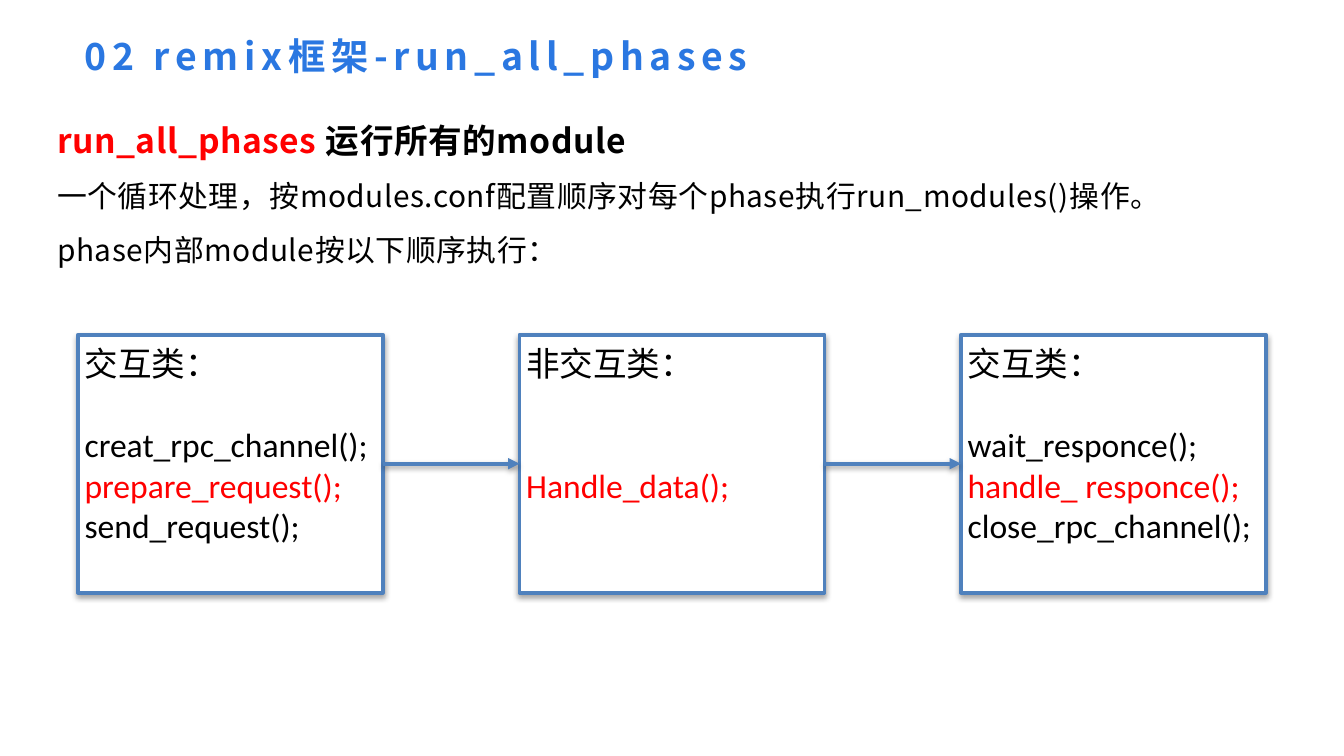
from lxml.etree import SubElement
from pptx import Presentation
from pptx.dml.color import RGBColor
from pptx.enum.shapes import MSO_CONNECTOR, MSO_SHAPE
from pptx.enum.text import MSO_ANCHOR, PP_ALIGN
from pptx.oxml.ns import qn
from pptx.util import Emu, Pt

PX = 4572
COLORS = {
    "title": "2A77E1",
    "text": "000000",
    "key": "FF0000",
    "line": "4F81BD",
    "box": "FFFFFF",
    "shadow": "000000",
}
CJK_FONT = "Noto Sans CJK SC"
BOX_FONT = "Calibri"
LINE_HEIGHT = 22
STAGES = [
    ("交互类：", 1, ["creat_rpc_channel();", "prepare_request();", "send_request();"],
     "prepare_request();"),
    ("非交互类：", 2, ["Handle_data();"], "Handle_data();"),
    ("交互类：", 1, ["wait_responce();", "handle_ responce();", "close_rpc_channel();"],
     "handle_ responce();"),
]


def px(length):
    """Turn px into EMU."""
    return Emu(length * PX)


def rgb(name):
    """Look up a named colour."""
    return RGBColor.from_string(COLORS[name])


def style(paragraph, size, font, color, bold=False, spacing=0):
    """Set the font that all runs of a paragraph share."""
    paragraph.alignment = PP_ALIGN.LEFT
    paragraph.font.size = Pt(size)
    paragraph.font.name = font
    paragraph.font.bold = bold
    paragraph.font.color.rgb = rgb(color)
    properties = paragraph.font._rPr
    properties.set("spc", str(spacing))
    SubElement(properties, qn("a:ea"), typeface=CJK_FONT)


def set_insets(frame, top=10):
    """Give a text frame wrapping and narrow margins."""
    frame.word_wrap = True
    frame.margin_left = frame.margin_right = frame.margin_bottom = px(10)
    frame.margin_top = px(top)


def add_shadow(shape, distance, opacity):
    """Put a soft downward shadow on a shape or connector."""
    properties = shape._element.spPr
    effects = properties.find(qn("a:effectLst"))
    if effects is None:
        effects = SubElement(properties, qn("a:effectLst"))
    shadow = SubElement(effects, qn("a:outerShdw"), blurRad=str(Pt(3)),
                        dist=str(Pt(distance)), dir="5400000", rotWithShape="0")
    color = SubElement(shadow, qn("a:srgbClr"), val=COLORS["shadow"])
    SubElement(color, qn("a:alpha"), val=str(opacity * 1000))


def add_text_frame(slide, left, top, width, height):
    """Add a text box and return its frame."""
    frame = slide.shapes.add_textbox(px(left), px(top), px(width), px(height)).text_frame
    set_insets(frame)
    return frame


def add_title(slide, left, top, width, height):
    """Add the slide title."""
    paragraph = add_text_frame(slide, left, top, width, height).paragraphs[0]
    paragraph.text = "02 remix框架-run_all_phases"
    style(paragraph, 20, CJK_FONT, "title", True, 300)


def add_introduction(slide, left, top, width, height):
    """Add the heading and the two explanatory lines."""
    frame = add_text_frame(slide, left, top, width, height)
    heading = frame.paragraphs[0]
    for text, color in (("run_all_phases ", "key"), ("运行所有的module", "text")):
        run = heading.add_run()
        run.text = text
        run.font.color.rgb = rgb(color)
    style(heading, 18, CJK_FONT, "text", True, 30)
    for text in ("一个循环处理，按modules.conf配置顺序对每个phase执行run_modules()操作。",
                 "phase内部module按以下顺序执行："):
        paragraph = frame.add_paragraph()
        paragraph.text = text
        style(paragraph, 16, CJK_FONT, "text", spacing=30)
    for paragraph in frame.paragraphs:
        paragraph.line_spacing = 1.5


def add_stage(slide, left, top, width, height, heading, gap_lines, calls, key_call):
    """Add one stage box with its heading and calls."""
    box = slide.shapes.add_shape(MSO_SHAPE.RECTANGLE, px(left), px(top), px(width), px(height))
    box.fill.solid()
    box.fill.fore_color.rgb = rgb("box")
    box.line.color.rgb = rgb("line")
    box.line.width = Pt(2)
    box.shadow.inherit = False
    add_shadow(box, 1.8, 35)
    frame = box.text_frame
    set_insets(frame, top=12)
    frame.vertical_anchor = MSO_ANCHOR.TOP
    frame.paragraphs[0].text = heading
    style(frame.paragraphs[0], 18, BOX_FONT, "text")
    for index, call in enumerate(calls):
        paragraph = frame.add_paragraph()
        paragraph.text = call
        style(paragraph, 18, BOX_FONT, "key" if call == key_call else "text")
        if index == 0:
            paragraph.space_before = Pt(LINE_HEIGHT * gap_lines)
    return box


def add_arrow(slide, source, target):
    """Join the right side of one box to the left side of the next."""
    arrow = slide.shapes.add_connector(MSO_CONNECTOR.STRAIGHT, 0, 0, 0, 0)
    arrow.begin_connect(source, 3)
    arrow.end_connect(target, 1)
    arrow.line.color.rgb = rgb("line")
    arrow.line.width = Pt(2)
    SubElement(arrow.line._get_or_add_ln(), qn("a:tailEnd"), type="triangle")
    add_shadow(arrow, 1.6, 38)


def add_flow(slide, left, top, width, height):
    """Spread the stage boxes over the width and link them."""
    box_width = 454
    step = (width - box_width) // (len(STAGES) - 1)
    boxes = [add_stage(slide, left + index * step, top, box_width, height, *stage)
             for index, stage in enumerate(STAGES)]
    for source, target in zip(boxes, boxes[1:]):
        add_arrow(slide, source, target)


def main():
    """Build and save the presentation."""
    presentation = Presentation()
    presentation.slide_width = px(2000)
    presentation.slide_height = px(1125)
    slide = presentation.slides.add_slide(presentation.slide_layouts[6])
    add_title(slide, 116, 40, 1150, 88)
    add_introduction(slide, 75, 138, 1880, 264)
    add_flow(slide, 116, 498, 1768, 384)
    presentation.save("out.pptx")


if __name__ == "__main__":
    main()
